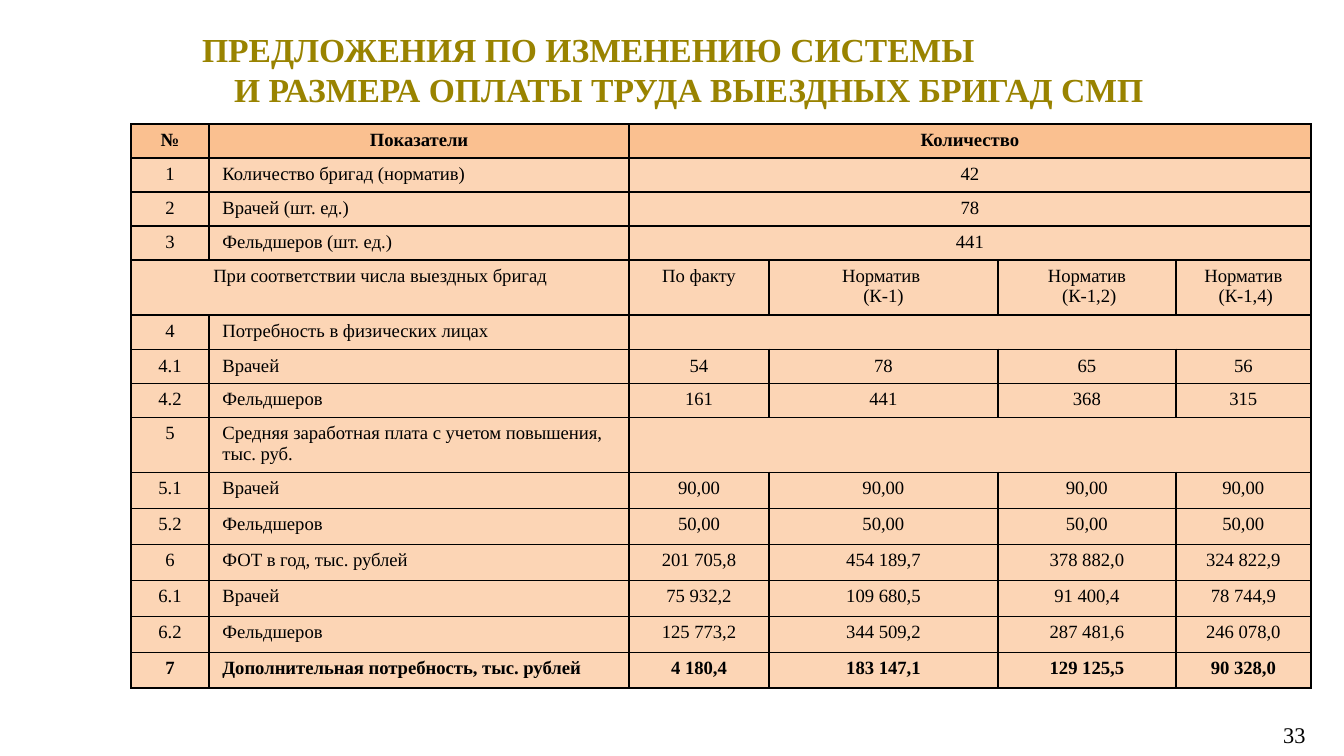
import pptx
import pptx.util
import pptx.dml.color
import pptx.enum.text
import pptx.oxml
import pptx.oxml.ns

RGBColor = pptx.dml.color.RGBColor
BLACK = RGBColor(0x00, 0x00, 0x00)
OLIVE = RGBColor(0x99, 0x83, 0x00)
ORANGE = RGBColor(0xFA, 0xC0, 0x90)
PEACH = RGBColor(0xFC, 0xD5, 0xB5)
ALIGN = pptx.enum.text.PP_ALIGN
ANCHOR = pptx.enum.text.MSO_ANCHOR

COLUMNS = [78, 420, 140, 229, 178, 135]
HEIGHTS = [34] * 4 + [55] + [34] * 3 + [55] + [36] * 6
ROWS = [
    ["№", "Показатели", "Количество"],
    ["1", "Количество бригад (норматив)", "42"],
    ["2", "Врачей (шт. ед.)", "78"],
    ["3", "Фельдшеров (шт. ед.)", "441"],
    ["При соответствии числа выездных бригад", "", "По факту",
     "Норматив \n(К-1)", "Норматив\n (К-1,2)", "Норматив\n (К-1,4)"],
    ["4", "Потребность в физических лицах", ""],
    ["4.1", "Врачей", "54", "78", "65", "56"],
    ["4.2", "Фельдшеров", "161", "441", "368", "315"],
    ["5", "Средняя заработная плата с учетом повышения, тыс. руб.", ""],
    ["5.1", "Врачей"] + ["90,00"] * 4,
    ["5.2", "Фельдшеров"] + ["50,00"] * 4,
    ["6", "ФОТ в год, тыс. рублей", "201 705,8", "454 189,7", "378 882,0", "324 822,9"],
    ["6.1", "Врачей", "75 932,2", "109 680,5", "91 400,4", "78 744,9"],
    ["6.2", "Фельдшеров", "125 773,2", "344 509,2", "287 481,6", "246 078,0"],
    ["7", "Дополнительная потребность, тыс. рублей",
     "4 180,4", "183 147,1", "129 125,5", "90 328,0"],
]


def px(n):
    return pptx.util.Emu(round(n * 914400 / 134.4))


class Deck:
    font = "Times New Roman"

    def __init__(self, width, height):
        self.prs = pptx.Presentation()
        self.prs.slide_width = px(width)
        self.prs.slide_height = px(height)
        self.s = self.prs.slides.add_slide(self.prs.slide_layouts[5])

    def format(self, tf, size, color=BLACK, bold=False, align=ALIGN.LEFT):
        for p in tf.paragraphs:
            p.alignment = align
            if not p.runs:
                p._p.get_or_add_endParaRPr().set("sz", str(size * 100))
            for r in p.runs:
                r.font.name = self.font
                r.font.size = pptx.util.Pt(size)
                r.font.bold = bold
                r.font.color.rgb = color

    def title(self, x, y, w, h, text, hang):
        sp = self.s.shapes.title
        sp.left, sp.top, sp.width, sp.height = map(px, (x, y, w, h))
        tf = sp.text_frame
        tf.text = text
        tf.word_wrap = True
        tf.auto_size = pptx.enum.text.MSO_AUTO_SIZE.NONE
        tf.vertical_anchor = ANCHOR.MIDDLE
        tf.margin_left, tf.margin_right = px(14), 0
        tf.margin_top = tf.margin_bottom = px(5)
        self.format(tf, 18, OLIVE, True)
        pPr = tf.paragraphs[0]._p.get_or_add_pPr()
        pPr.set("marL", str(px(hang)))
        pPr.set("indent", str(-px(hang)))

    def text(self, x, y, w, h, text, size):
        tf = self.s.shapes.add_textbox(*map(px, (x, y, w, h))).text_frame
        tf.text = text
        tf.word_wrap = False
        self.format(tf, size)

    def border(self, cell):
        tcPr = cell._tc.get_or_add_tcPr()
        for i, side in enumerate(("lnL", "lnR", "lnT", "lnB")):
            tcPr.insert(i, pptx.oxml.parse_xml(
                f'<a:{side} {pptx.oxml.ns.nsdecls("a")} w="12700"><a:solidFill>'
                f'<a:srgbClr val="{BLACK}"/></a:solidFill></a:{side}>'))

    def table(self, x, y, columns, heights, rows):
        table = self.s.shapes.add_table(
            len(rows), len(columns), px(x), px(y),
            px(sum(columns)), px(sum(heights))).table
        table.first_row = table.horz_banding = False
        for column, width in zip(table.columns, columns):
            column.width = px(width)
        last = len(rows) - 1
        for i, (height, values) in enumerate(zip(heights, rows)):
            table.rows[i].height = px(height)
            for j in range(len(columns)):
                cell = table.cell(i, j)
                cell.text = values[j] if j < len(values) else ""
                cell.margin_top = cell.margin_bottom = px(6)
                cell.vertical_anchor = ANCHOR.TOP
                cell.fill.solid()
                cell.fill.fore_color.rgb = PEACH if i else ORANGE
                self.border(cell)
                align = ALIGN.LEFT if i and j == 1 else ALIGN.CENTER
                self.format(cell.text_frame, 10, BLACK, i in (0, last), align)
            if len(values) == 3:
                table.cell(i, 2).merge(table.cell(i, 5))
            if not values[1]:
                table.cell(i, 0).merge(table.cell(i, 1))


def main():
    deck = Deck(1344, 756)
    deck.title(188, 22, 969, 94,
               "ПРЕДЛОЖЕНИЯ ПО ИЗМЕНЕНИЮ СИСТЕМЫ\v"
               "И РАЗМЕРА ОПЛАТЫ ТРУДА ВЫЕЗДНЫХ БРИГАД СМП", 32)
    deck.table(131, 124, COLUMNS, HEIGHTS, ROWS)
    deck.text(1270, 715, 50, 40, "33", 12)
    deck.prs.save("out.pptx")


if __name__ == "__main__":
    main()
